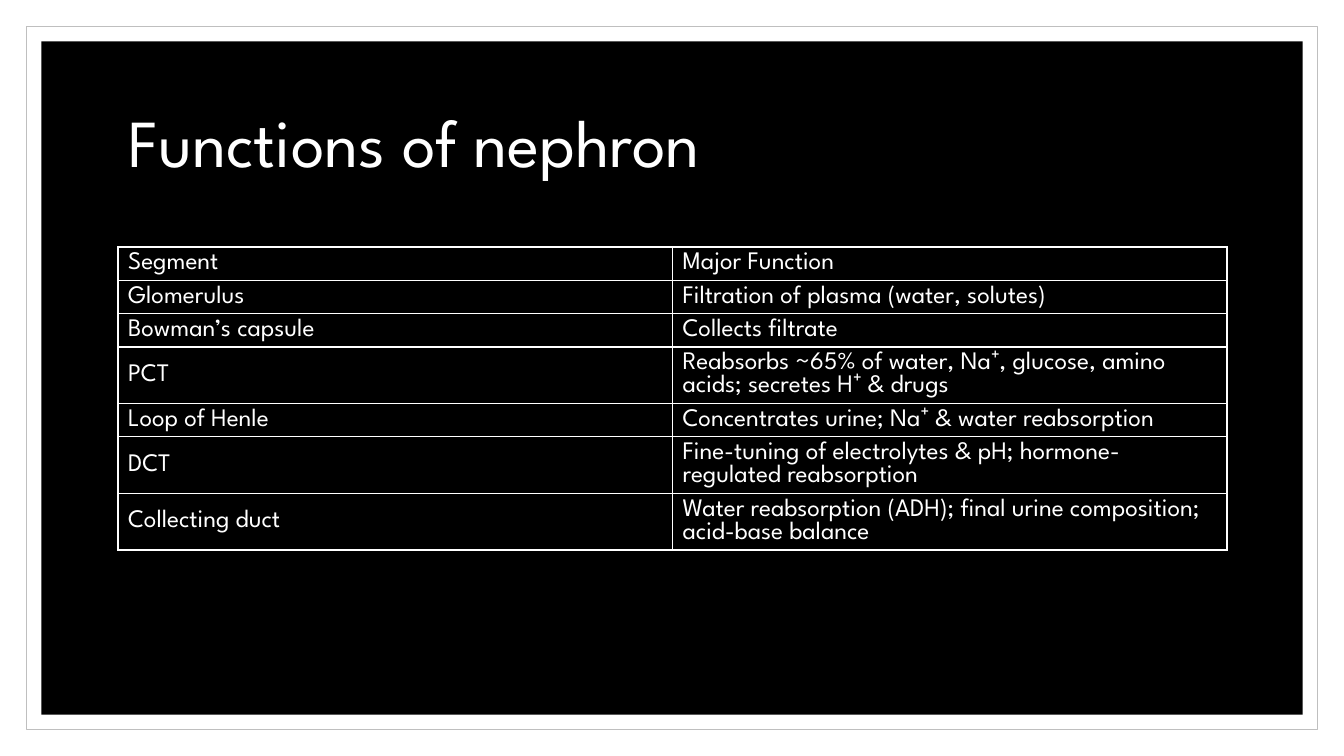
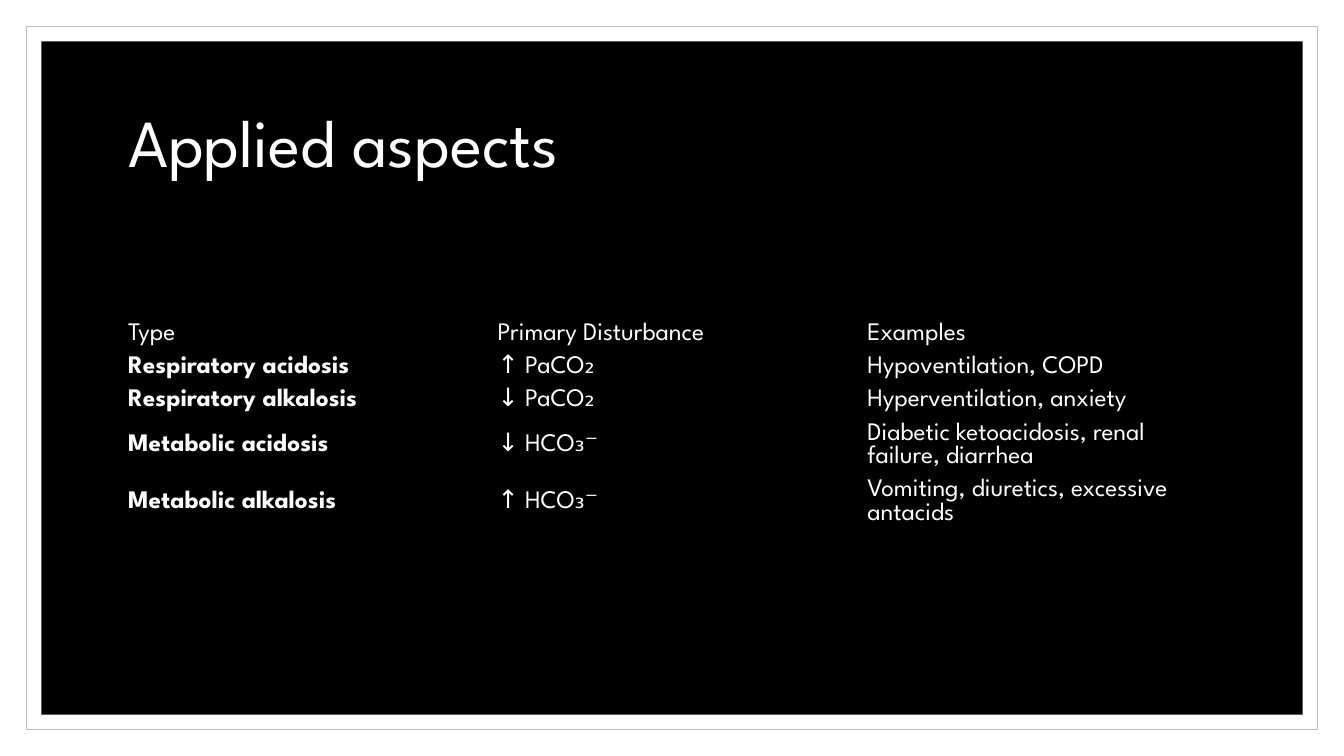
from pptx import Presentation
from pptx.dml.color import RGBColor
from pptx.enum.shapes import MSO_SHAPE
from pptx.enum.text import MSO_ANCHOR, MSO_AUTO_SIZE, PP_ALIGN
from pptx.oxml import parse_xml
from pptx.oxml.ns import nsdecls
from pptx.util import Inches, Pt

RECTANGLE = MSO_SHAPE.RECTANGLE
MIDDLE = MSO_ANCHOR.MIDDLE
LEFT = PP_ALIGN.LEFT
NO_AUTOFIT = MSO_AUTO_SIZE.NONE

# Content
PAGES = [
    {
        "title": "Functions of nephron",
        "top": 2.45,
        "bordered": True,
        "bold_first_column": False,
        "two_line_rows": {3, 5, 6},
        "rows": [
            ("Segment", "Major Function"),
            ("Glomerulus", "Filtration of plasma (water, solutes)"),
            ("Bowman’s capsule", "Collects filtrate"),
            ("PCT", "Reabsorbs ~65% of water, Na⁺, glucose, amino acids; secretes H⁺ & drugs"),
            ("Loop of Henle", "Concentrates urine; Na⁺ & water reabsorption"),
            ("DCT", "Fine-tuning of electrolytes & pH; hormone-regulated reabsorption"),
            ("Collecting duct", "Water reabsorption (ADH); final urine composition; acid-base balance"),
        ],
    },
    {
        "title": "Applied aspects",
        "top": 3.15,
        "bordered": False,
        "bold_first_column": True,
        "two_line_rows": {3, 4},
        "rows": [
            ("Type", "Primary Disturbance", "Examples"),
            ("Respiratory acidosis", "↑ PaCO₂", "Hypoventilation, COPD"),
            ("Respiratory alkalosis", "↓ PaCO₂", "Hyperventilation, anxiety"),
            ("Metabolic acidosis", "↓ HCO₃⁻", "Diabetic ketoacidosis, renal failure, diarrhea"),
            ("Metabolic alkalosis", "↑ HCO₃⁻", "Vomiting, diuretics, excessive antacids"),
        ],
    },
]

# Shared style
COLORS = {"paper": "FFFFFF", "panel": "000000", "frame": "BFBFBF", "text": "FFFFFF"}
FONT = "League Spartan"
SLIDE_WIDTH, SLIDE_HEIGHT = 13.33, 7.5
CONTENT_LEFT, CONTENT_WIDTH = 1.17, 11
TITLE_TOP, TITLE_HEIGHT = 0.7, 1.5
ONE_LINE, TWO_LINES = 0.33, 0.56
BORDER_WIDTH = Pt(1)
PLAIN_TABLE_STYLE = "{2D5ABB26-0587-4C30-8999-92F81FD0307C}"
# Inset from the slide edge, fill, line
BACKDROP = [(0.26, "paper", "frame"), (0.41, "panel", None)]


def color(name):
    return RGBColor.from_string(COLORS[name])


def write(frame, text, size=18, bold=False, line_spacing=None):
    para = frame.paragraphs[0]
    para.alignment = LEFT
    if line_spacing:
        para.line_spacing = line_spacing
    span = para.add_run()
    span.text = text
    span.font.name = FONT
    span.font.size = Pt(size)
    span.font.bold = bold
    span.font.color.rgb = color("text")


def add_backdrop(page, layout):
    """Draw the frame and panel once and move them into the shared layout."""
    for depth, (inset, fill, line) in enumerate(BACKDROP):
        box = page.shapes.add_shape(
            RECTANGLE, Inches(inset), Inches(inset),
            Inches(SLIDE_WIDTH - 2 * inset), Inches(SLIDE_HEIGHT - 2 * inset))
        box.shadow.inherit = False
        box.fill.solid()
        box.fill.fore_color.rgb = color(fill)
        if line:
            box.line.color.rgb = color(line)
            box.line.width = Pt(0.5)
        else:
            box.line.fill.background()
        layout.shapes.element.insert(2 + depth, box.element)


def set_title(page, text):
    title = page.shapes.title
    title.left, title.top = Inches(CONTENT_LEFT), Inches(TITLE_TOP)
    title.width, title.height = Inches(CONTENT_WIDTH), Inches(TITLE_HEIGHT)
    frame = title.text_frame
    frame.word_wrap = True
    frame.auto_size = NO_AUTOFIT
    frame.vertical_anchor = MIDDLE
    write(frame, text, size=48, line_spacing=0.9)


def add_borders(cell):
    properties = cell._tc.get_or_add_tcPr()
    for position, side in enumerate(("lnL", "lnR", "lnT", "lnB")):
        properties.insert(position, parse_xml(
            f'<a:{side} {nsdecls("a")} w="{BORDER_WIDTH}"><a:solidFill>'
            f'<a:srgbClr val="{COLORS["text"]}"/></a:solidFill></a:{side}>'))


def add_text_table(page, content):
    rows = content["rows"]
    columns = len(rows[0])
    heights = [TWO_LINES if index in content["two_line_rows"] else ONE_LINE
               for index in range(len(rows))]
    holder = page.shapes.add_table(
        len(rows), columns, Inches(CONTENT_LEFT), Inches(content["top"]),
        Inches(CONTENT_WIDTH), Inches(sum(heights)))
    holder.element.xpath(".//a:tableStyleId")[0].text = PLAIN_TABLE_STYLE
    table = holder.table
    table.first_row = table.horz_banding = False
    for column in table.columns:
        column.width = Inches(CONTENT_WIDTH / columns)
    for row_index, (values, height) in enumerate(zip(rows, heights)):
        table.rows[row_index].height = Inches(height)
        for column_index, value in enumerate(values):
            cell = table.cell(row_index, column_index)
            cell.vertical_anchor = MIDDLE
            cell.fill.background()
            is_label = row_index > 0 and column_index == 0
            write(cell.text_frame, value, bold=is_label and content["bold_first_column"])
            if content["bordered"]:
                add_borders(cell)


def main():
    deck = Presentation()
    deck.slide_width, deck.slide_height = Inches(SLIDE_WIDTH), Inches(SLIDE_HEIGHT)
    layout = deck.slide_layouts.get_by_name("Title Only")
    for index, content in enumerate(PAGES):
        page = deck.slides.add_slide(layout)
        if index == 0:
            add_backdrop(page, layout)
        set_title(page, content["title"])
        add_text_table(page, content)
    deck.save("out.pptx")


if __name__ == "__main__":
    main()
